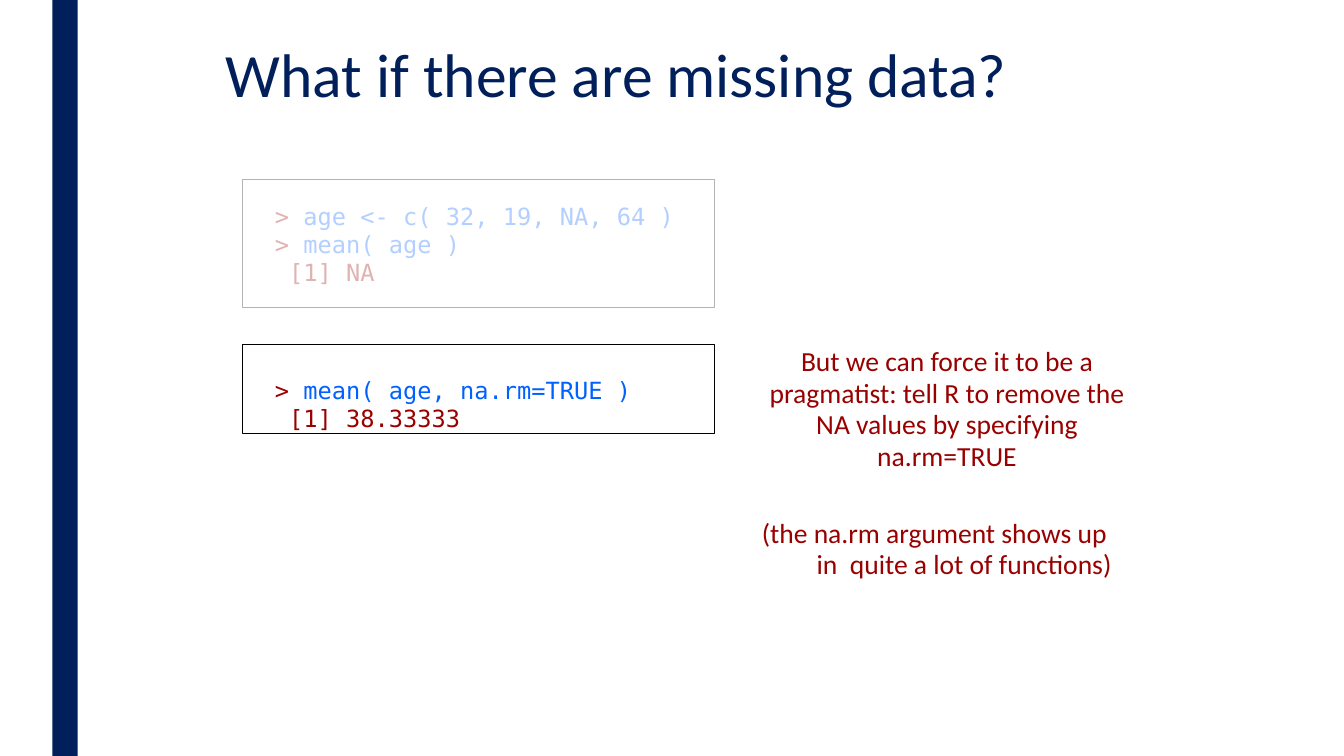
from lxml.etree import SubElement
from pptx import Presentation
from pptx.dml.color import RGBColor
from pptx.enum.shapes import MSO_SHAPE
from pptx.enum.text import MSO_ANCHOR, PP_ALIGN
from pptx.oxml.ns import qn
from pptx.util import Cm, Pt

NAVY = RGBColor(0x01, 0x1F, 0x5B)
BLUE = RGBColor(0x00, 0x61, 0xFF)
RED = RGBColor(0x99, 0x00, 0x00)
NOTE_RED = RGBColor(0x99, 0x01, 0x00)
BLACK = RGBColor(0x00, 0x00, 0x00)
WHITE = RGBColor(0xFF, 0xFF, 0xFF)


def write(paragraph, text, *, font="Calibri", size=19.7, color=NOTE_RED):
    run = paragraph.add_run()
    run.text = text
    run.font.name = font
    run.font.size = Pt(size)
    run.font.color.rgb = color


class CodeSlide:
    """Style and drawing methods for a slide of code boxes and notes."""

    code_style = {"font": "DejaVu Sans Mono", "size": 16.9}
    code_left, code_width = 6.12, 11.89
    code_pitch, note_pitch = 20, 22.5
    prompt_inset, output_indent = 0.81, 0.36

    def __init__(self, slide):
        self.slide = slide

    def rectangle(self, left, top, width, height, *, fill=None, line=None, opacity=100):
        area = self.slide.shapes.add_shape(
            MSO_SHAPE.RECTANGLE, Cm(left), Cm(top), Cm(width), Cm(height))
        area.shadow.inherit = False
        if fill is None:
            area.fill.background()
        else:
            area.fill.solid()
            area.fill.fore_color.rgb = fill
        if opacity < 100:
            tint = area.fill._xPr.find(".//" + qn("a:srgbClr"))
            SubElement(tint, qn("a:alpha")).set("val", str(opacity * 1000))
        if line is None:
            area.line.fill.background()
        else:
            area.line.color.rgb = line
            area.line.width = Pt(0.75)
        return area

    def frame(self, holder, left=0, top=0):
        frame = holder.text_frame
        frame.word_wrap = True
        frame.vertical_anchor = MSO_ANCHOR.TOP
        frame.margin_left, frame.margin_top = Cm(left), Cm(top)
        frame.margin_right = frame.margin_bottom = 0
        return frame

    def code_box(self, top, height, text_top, commands, output):
        box = self.rectangle(self.code_left, top, self.code_width, height, line=BLACK)
        frame = self.frame(box, self.prompt_inset, text_top)
        for number, command in enumerate([*commands, None]):
            line = frame.add_paragraph() if number else frame.paragraphs[0]
            line.alignment = PP_ALIGN.LEFT
            line.line_spacing = Pt(self.code_pitch)
            if command is None:
                line._p.get_or_add_pPr().set("marL", str(Cm(self.output_indent)))
                write(line, output, color=RED, **self.code_style)
            else:
                write(line, "> ", color=RED, **self.code_style)
                write(line, command, color=BLUE, **self.code_style)

    def text(self, left, top, width, height, wording, *, align=PP_ALIGN.LEFT,
             pitch=None, hanging=0, **style):
        box = self.slide.shapes.add_textbox(Cm(left), Cm(top), Cm(width), Cm(height))
        paragraph = self.frame(box).paragraphs[0]
        paragraph.alignment = align
        if pitch:
            paragraph.line_spacing = Pt(pitch)
        if hanging:
            properties = paragraph._p.get_or_add_pPr()
            properties.set("marL", str(Cm(hanging)))
            properties.set("indent", str(-Cm(hanging)))
        write(paragraph, wording, **style)


def main():
    deck = Presentation()
    deck.slide_width, deck.slide_height = Cm(33.87), Cm(19.05)
    page = CodeSlide(deck.slides.add_slide(deck.slide_layouts[6]))

    page.rectangle(1.32, 0, 0.64, 19.05, fill=NAVY)
    page.code_box(4.52, 3.22, 0.58,
                  ["age <- c( 32, 19, NA, 64 )", "mean( age )"], "[1] NA")
    page.code_box(8.69, 2.24, 0.79, ["mean( age, na.rm=TRUE )"], "[1] 38.33333")
    page.rectangle(4.98, 3.86, 15.77, 4.03, fill=WHITE, opacity=70)
    page.text(19.33, 8.71, 9.07, 3.28,
              "But we can force it to be a pragmatist: tell R to remove the "
              "NA values by specifying na.rm=TRUE",
              align=PP_ALIGN.CENTER, pitch=page.note_pitch)
    page.text(19.2, 13.03, 9.2, 1.65,
              "(the na.rm argument shows up in  quite a lot of functions)",
              pitch=page.note_pitch, hanging=1.38)
    page.text(5.69, 0.91, 24.26, 1.88, "What if there are missing data?",
              size=44, color=NAVY)
    deck.save("out.pptx")


if __name__ == "__main__":
    main()
